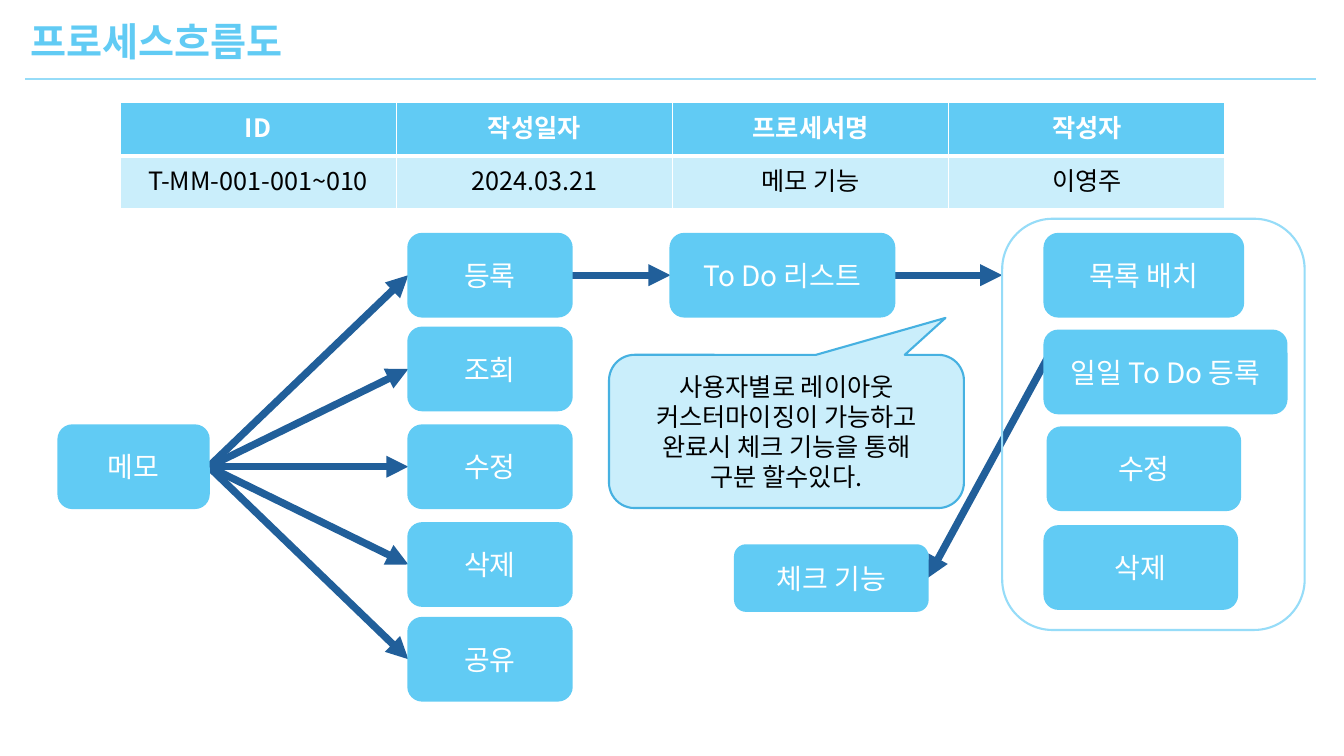
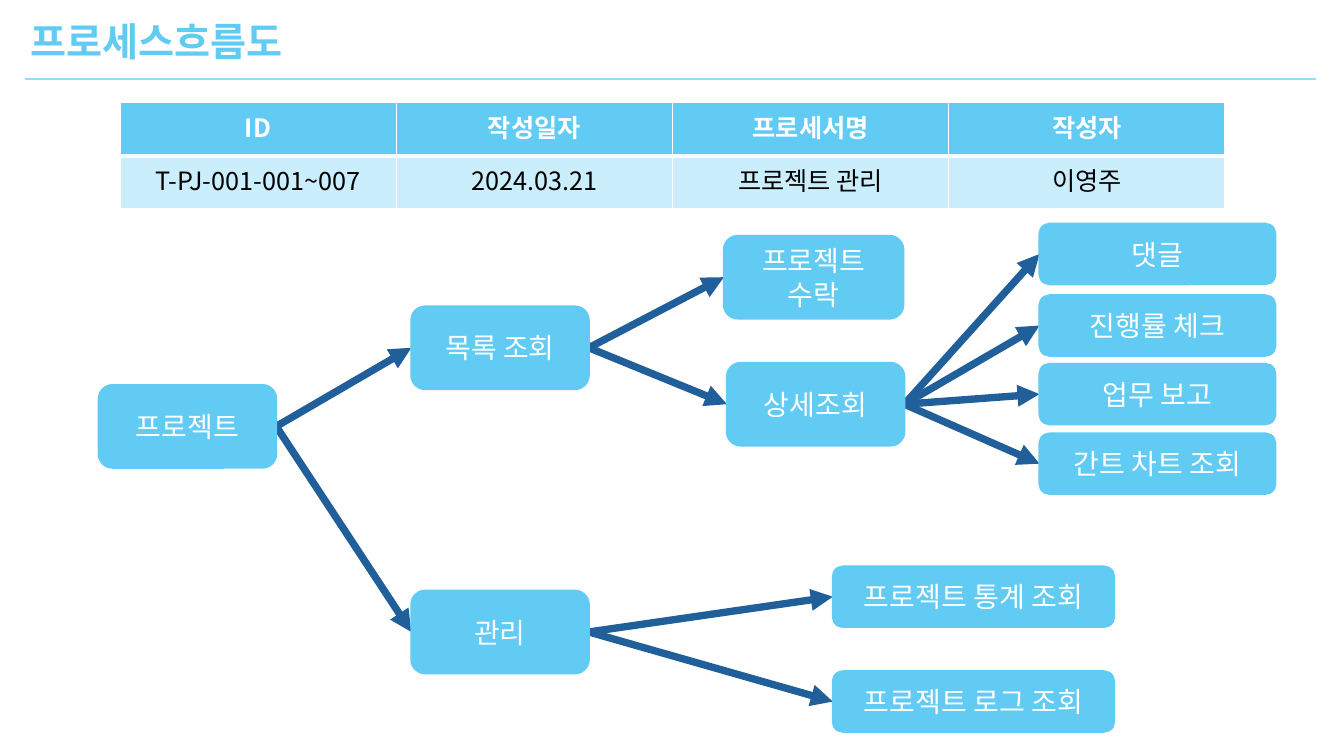
"""Build two process flow slides."""
import lxml.etree
import pptx
import pptx.dml.color
import pptx.enum.shapes
import pptx.enum.text
import pptx.oxml.ns
import pptx.util

Inches = pptx.util.Inches
Pt = pptx.util.Pt
qn = pptx.oxml.ns.qn
SHAPE = pptx.enum.shapes.MSO_SHAPE
ALIGN = pptx.enum.text.PP_ALIGN
ANCHOR = pptx.enum.text.MSO_ANCHOR
AUTO_SIZE = pptx.enum.text.MSO_AUTO_SIZE
STRAIGHT = pptx.enum.shapes.MSO_CONNECTOR.STRAIGHT

FONT = "Noto Sans CJK KR"
SKY, RULE, PALE, EDGE, NAVY = "61CBF4", "96DCF8", "CAEEFB", "46B1E1", "215F9A"
WHITE, BLACK = "FFFFFF", "000000"
LEFT_SITE, RIGHT_SITE = 1, 3
TALL, SHORT = 0.82, 0.6

TITLE_STYLE = {"size": Pt(28), "bold": True}
HEADER_STYLE = {"size": Pt(18), "bold": True}
BODY_STYLE = {"size": Pt(18), "bold": False}
BOX_STYLE = {"size": Pt(20), "bold": False}

HEADERS = ["ID", "작성일자", "프로세서명", "작성자"]


def rgb(value):
    """Turn a hex string into a colour."""
    return pptx.dml.color.RGBColor.from_string(value)


def set_attributes(target, values):
    """Set each attribute named in a dict of values."""
    for name, value in values.items():
        setattr(target, name, value)


def write_lines(frame, lines, style, color, align=ALIGN.CENTER):
    """Write one paragraph per line in a text frame."""
    for index, line in enumerate(lines):
        para = frame.add_paragraph() if index else frame.paragraphs[0]
        para.alignment = align
        span = para.add_run()
        span.text = line
        span.font.color.rgb = rgb(color)
        set_attributes(span.font, {"name": FONT, **style})
        properties = span.font._element if hasattr(span.font, "_element") else span._r.get_or_add_rPr()
        lxml.etree.SubElement(properties, qn("a:ea"), typeface=FONT)


def add_line(page, start, end, color, width):
    """Draw a plain straight line between two points in inches."""
    line = page.shapes.add_connector(STRAIGHT, *(Inches(value) for value in start + end))
    line.line.color.rgb = rgb(color)
    line.line.width = Pt(width)
    lxml.etree.SubElement(line.element.spPr, qn("a:effectLst"))
    return line


def add_arrow(page, start, end):
    """Draw a thick arrow behind the boxes."""
    arrow = add_line(page, start, end, NAVY, 5.25)
    outline = arrow.element.spPr.find(qn("a:ln"))
    lxml.etree.SubElement(outline, qn("a:tailEnd"), type="triangle")
    arrow.element.getparent().insert(2, arrow.element)
    return arrow


def edge_point(box, site):
    """Give the middle of a box's left or right edge in inches."""
    x = box.left + (box.width if site == RIGHT_SITE else 0)
    return pptx.util.Emu(x).inches, pptx.util.Emu(box.top + box.height // 2).inches


def link_boxes(page, source, targets):
    """Connect a box to each of its targets."""
    for target in targets:
        arrow = add_arrow(page, edge_point(source, RIGHT_SITE), edge_point(target, LEFT_SITE))
        arrow.begin_connect(source, RIGHT_SITE)
        arrow.end_connect(target, LEFT_SITE)


def add_outline(page, kind, area, line):
    """Add an unfilled preset shape with a coloured outline."""
    shape = page.shapes.add_shape(kind, *(Inches(value) for value in area))
    shape.shadow.inherit = False
    shape.fill.background()
    shape.line.color.rgb = rgb(line)
    shape.line.width = Pt(1.5)
    return shape


def fill_shape(shape, fill, lines, style, color):
    """Fill a shape and write centred text in it."""
    shape.fill.solid()
    shape.fill.fore_color.rgb = rgb(fill)
    set_attributes(shape.text_frame, {"word_wrap": True, "vertical_anchor": ANCHOR.MIDDLE})
    write_lines(shape.text_frame, lines, style, color)


def add_box(page, text, left, top, width, height=TALL):
    """Add one rounded process box."""
    box = add_outline(page, SHAPE.ROUNDED_RECTANGLE, (left, top, width, height), SKY)
    fill_shape(box, SKY, [text], BOX_STYLE, WHITE)
    return box


def add_column(page, left, width, height, entries):
    """Add a column of boxes from pairs of text and top."""
    return [add_box(page, text, left, top, width, height) for text, top in entries]


def add_callout(page, lines, area, adjustments):
    """Add a speech callout with dark text."""
    callout = add_outline(page, SHAPE.ROUNDED_RECTANGULAR_CALLOUT, area, EDGE)
    for index, value in enumerate(adjustments):
        callout.adjustments[index] = value
    fill_shape(callout, PALE, lines, BODY_STYLE, BLACK)


def set_borders(cell, widths):
    """Give a cell white borders from a dict of side and width."""
    properties = cell._tc.get_or_add_tcPr()
    for side, width in widths.items():
        border = lxml.etree.SubElement(properties, qn("a:ln" + side), w=str(Pt(width)))
        fill = lxml.etree.SubElement(border, qn("a:solidFill"))
        lxml.etree.SubElement(fill, qn("a:srgbClr"), val=WHITE)


def add_summary_table(page, values):
    """Add the header row and value row of the process summary."""
    area = (Inches(value) for value in (1.19, 1.02, 10.96, 1.05))
    table = page.shapes.add_table(2, len(HEADERS), *area).table
    rows = [
        (HEADERS, HEADER_STYLE, WHITE, SKY, {"L": 1, "R": 1, "T": 1, "B": 3}),
        (values, BODY_STYLE, BLACK, PALE, {"L": 1, "R": 1, "T": 3, "B": 1}),
    ]
    for row, (texts, style, color, fill, borders) in enumerate(rows):
        for column, text in enumerate(texts):
            cell = table.cell(row, column)
            set_borders(cell, borders)
            cell.fill.solid()
            cell.fill.fore_color.rgb = rgb(fill)
            write_lines(cell.text_frame, [text], style, color)


def add_page(deck, values):
    """Add a slide with the shared title, rule and summary table."""
    page = deck.slides.add_slide(deck.slide_layouts[5])
    title = page.shapes.title
    set_attributes(title, {
        "left": Inches(0.2), "top": Inches(0.12),
        "width": Inches(2.95), "height": Inches(0.57),
    })
    set_attributes(title.text_frame, {
        "word_wrap": False, "auto_size": AUTO_SIZE.SHAPE_TO_FIT_TEXT,
        "vertical_anchor": ANCHOR.TOP,
    })
    write_lines(title.text_frame, ["프로세스흐름도"], TITLE_STYLE, SKY, ALIGN.LEFT)
    add_line(page, (0.25, 0.78), (13.05, 0.78), RULE, 1.5)
    add_summary_table(page, values)
    return page


def build_memo_page(deck):
    """Build the memo process flow."""
    page = add_page(deck, ["T-MM-001-001~010", "2024.03.21", "메모 기능", "이영주"])
    memo = add_box(page, "메모", 0.58, 4.22, 1.49)
    actions = add_column(page, 4.05, 1.62, TALL, [
        ("등록", 2.32), ("조회", 3.25), ("수정", 4.22), ("삭제", 5.19), ("공유", 6.13),
    ])
    todo = add_box(page, "To Do 리스트", 6.65, 2.32, 2.22)
    check = add_box(page, "체크 기능", 7.29, 5.41, 1.91, 0.65)
    for text, left, top, width in [
        ("목록 배치", 10.36, 2.32, 1.97),
        ("일일 To Do 등록", 10.36, 3.28, 2.4),
        ("수정", 10.39, 4.24, 1.91),
        ("삭제", 10.36, 5.22, 1.91),
    ]:
        add_box(page, text, left, top, width)
    add_callout(page, [
        "사용자별로 레이아웃", "커스터마이징이 가능하고",
        "완료시 체크 기능을 통해", "구분 할수있다.",
    ], (6.04, 3.52, 3.52, 1.52), (0.448, -0.741, 0.167))
    add_outline(page, SHAPE.ROUNDED_RECTANGLE, (9.94, 2.17, 3, 4.08), RULE)
    link_boxes(page, memo, actions)
    link_boxes(page, actions[0], [todo])
    add_arrow(page, edge_point(todo, RIGHT_SITE), (9.94, 2.73)).begin_connect(todo, RIGHT_SITE)
    add_arrow(page, (10.39, 3.55), edge_point(check, RIGHT_SITE)).end_connect(check, RIGHT_SITE)


def build_project_page(deck):
    """Build the project process flow."""
    page = add_page(deck, ["T-PJ-001-001~007", "2024.03.21", "프로젝트 관리", "이영주"])
    project = add_box(page, "프로젝트", 0.98, 3.82, 1.76)
    listing, manage = add_column(page, 4.08, 1.76, TALL, [("목록 조회", 3.04), ("관리", 5.86)])
    accept = add_box(page, "프로젝트 수락", 7.18, 2.34, 1.78)
    detail = add_box(page, "상세조회", 7.21, 3.6, 1.76)
    details = add_column(page, 10.31, 2.34, SHORT, [
        ("댓글", 2.22), ("진행률 체크", 2.93), ("업무 보고", 3.61), ("간트 차트 조회", 4.3),
    ])
    reports = add_column(page, 8.26, 2.79, SHORT, [
        ("프로젝트 통계 조회", 5.62), ("프로젝트 로그 조회", 6.66),
    ])
    link_boxes(page, project, [listing, manage])
    link_boxes(page, listing, [accept, detail])
    link_boxes(page, detail, details)
    link_boxes(page, manage, reports)


def main():
    """Build and save the deck."""
    deck = pptx.Presentation()
    set_attributes(deck, {"slide_width": Inches(13.33), "slide_height": Inches(7.5)})
    build_memo_page(deck)
    build_project_page(deck)
    deck.save("out.pptx")


if __name__ == "__main__":
    main()
